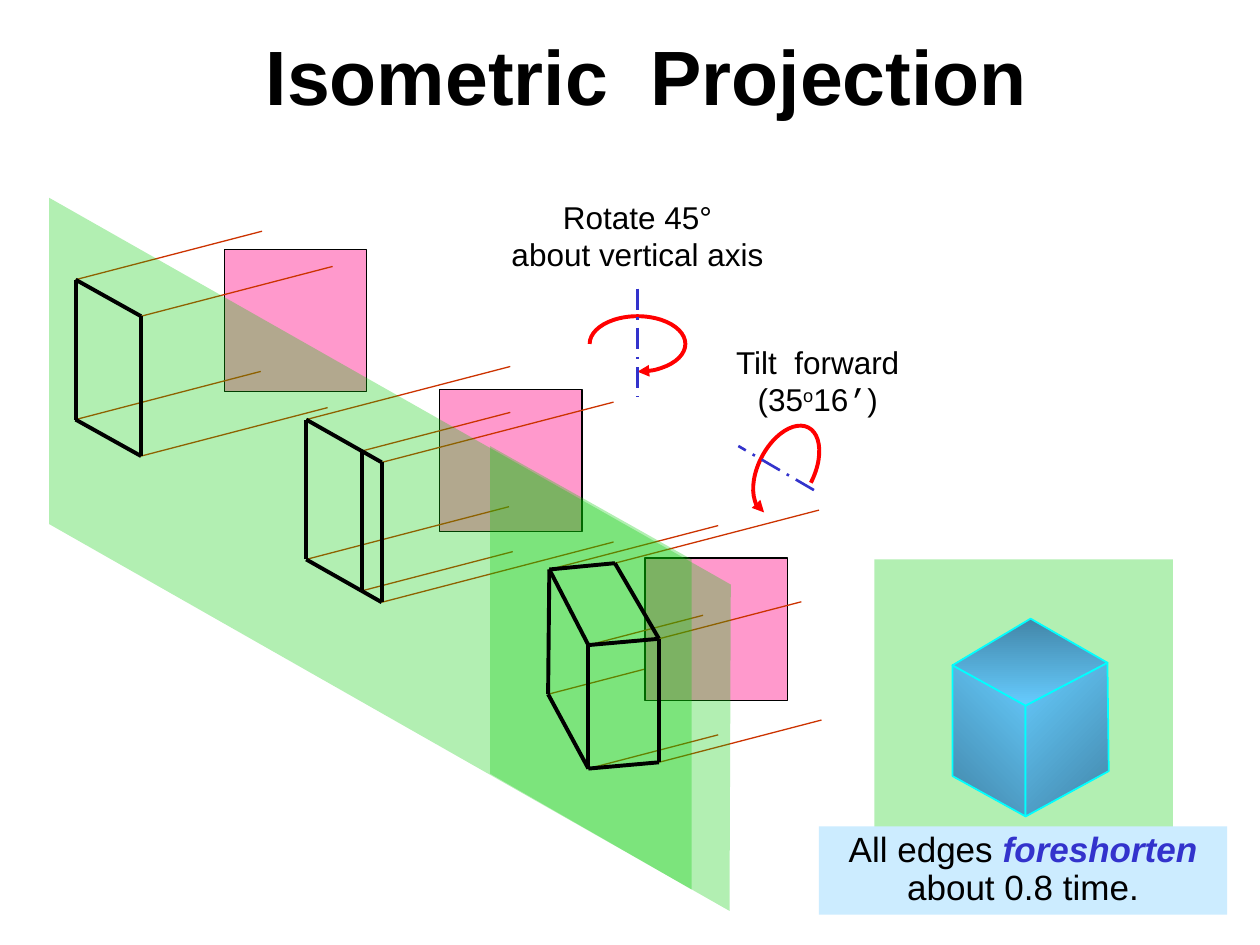
import itertools
from dataclasses import dataclass

import pptx
import pptx.dml.color
import pptx.enum.dml
import pptx.enum.shapes
import pptx.enum.text
import pptx.oxml.ns
import pptx.util
from lxml import etree


@dataclass(frozen=True)
class Theme:
    font: str = "Arial"
    prime_font: str = "Courier New"
    ink: str = "000000"
    accent: str = "3333CC"
    ray: str = "CC3300"
    turn: str = "FF0000"
    object_face: str = "FF99CC"
    plane: str = "00CC00"
    plane_opacity: int = 30
    caption: str = "CCECFF"
    cube_edge: str = "00FFFF"
    cube_light: str = "66CCFF"
    cube_dark: str = "4285A7"
    title_size: int = 44
    label_size: int = 18
    caption_size: int = 20
    thin: float = 0.75
    cube_line: float = 1
    axis_line: float = 1.5
    thick: float = 2.25


def rgb(color):
    return pptx.dml.color.RGBColor.from_string(color)


def add_node(parent, tag, **attributes):
    return etree.SubElement(parent, pptx.oxml.ns.qn(tag), **attributes)


class Sketch:
    COLUMNS = 100
    ROWS = 75
    RAY_SLOPE = 0.26

    def __init__(self, deck, theme):
        self.theme = theme
        self.page = deck.slides.add_slide(deck.slide_layouts[6])
        self.column = deck.slide_width / self.COLUMNS
        self.row = deck.slide_height / self.ROWS

    def spot(self, column, row):
        return round(column * self.column), round(row * self.row)

    def frame(self, left, top, width, height):
        return *self.spot(left, top), *self.spot(width, height)

    def stroke(self, shape, color, weight):
        shape.line.color.rgb = rgb(color)
        shape.line.width = pptx.util.Pt(weight)

    def paint(self, shape, color, opacity=100):
        shape.shadow.inherit = False
        shape.fill.solid()
        shape.fill.fore_color.rgb = rgb(color)
        shape.line.fill.background()
        if opacity < 100:
            tint = shape._element.spPr.find(".//" + pptx.oxml.ns.qn("a:srgbClr"))
            add_node(tint, "a:alpha", val=str(opacity * 1000))

    def line(self, start, end, color, weight):
        straight = pptx.enum.shapes.MSO_CONNECTOR.STRAIGHT
        line = self.page.shapes.add_connector(straight, *self.spot(*start), *self.spot(*end))
        self.stroke(line, color, weight)
        add_node(line._element.spPr, "a:effectLst")
        return line

    def ray(self, corner, reach):
        column, row = corner
        end = (column + reach, row - reach * self.RAY_SLOPE)
        self.line(corner, end, self.theme.ray, self.theme.thin)

    def edges(self, *corners):
        for start, end in itertools.pairwise(corners):
            self.line(start, end, self.theme.ink, self.theme.thick)

    def axis(self, start, end):
        line = self.line(start, end, self.theme.accent, self.theme.axis_line)
        line.line.dash_style = pptx.enum.dml.MSO_LINE.LONG_DASH_DOT

    def rectangle(self, area, color, opacity=100):
        shape = self.page.shapes.add_shape(
            pptx.enum.shapes.MSO_SHAPE.RECTANGLE, *self.frame(*area))
        self.paint(shape, color, opacity)
        return shape

    def object_square(self, left, top, side=11.3):
        square = self.rectangle((left, top, side, side), self.theme.object_face)
        self.stroke(square, self.theme.ink, self.theme.thin)

    def polygon(self, *corners):
        first, *others = [self.spot(*corner) for corner in corners]
        builder = self.page.shapes.build_freeform(*first, scale=1.0)
        builder.add_line_segments(others, close=True)
        return builder.convert_to_shape()

    def plane(self, *corners):
        self.paint(self.polygon(*corners), self.theme.plane, self.theme.plane_opacity)

    def cube_face(self, colors, angle, *corners):
        face = self.polygon(*corners)
        face.shadow.inherit = False
        face.fill.gradient()
        face.fill.gradient_angle = angle
        for stop, color in zip(face.fill.gradient_stops, colors):
            stop.color.rgb = rgb(color)
        self.stroke(face, self.theme.cube_edge, self.theme.cube_line)

    def turn_arrow(self, left, top, rotation, arrow_end):
        arc = self.page.shapes.add_shape(
            pptx.enum.shapes.MSO_SHAPE.ARC, *self.frame(left, top, 7.6, 4.4))
        arc.shadow.inherit = False
        arc.adjustments[0], arc.adjustments[1] = 180 * 0.6, 90 * 0.6
        arc.rotation = rotation
        arc.fill.background()
        self.stroke(arc, self.theme.turn, self.theme.thick)
        outline = arc._element.spPr.find(pptx.oxml.ns.qn("a:ln"))
        add_node(outline, arrow_end, type="triangle")

    def fill_text(self, box, paragraphs, size, bold=None, spacing=None, wrap=True):
        frame = box.text_frame
        frame.word_wrap = wrap
        frame.vertical_anchor = pptx.enum.text.MSO_ANCHOR.TOP
        for index, spans in enumerate(paragraphs):
            para = frame.add_paragraph() if index else frame.paragraphs[0]
            para.alignment = pptx.enum.text.PP_ALIGN.CENTER
            para.line_spacing = spacing
            para.font.name = self.theme.font
            para.font.size = pptx.util.Pt(size)
            para.font.bold = bold
            para.font.color.rgb = rgb(self.theme.ink)
            for words, role in spans:
                span = para.add_run()
                span.text = words
                if role == "raised":
                    span.font._element.set("baseline", "30000")
                elif role == "prime":
                    span.font.name = self.theme.prime_font
                elif role == "key":
                    span.font.bold = span.font.italic = True
                    span.font.color.rgb = rgb(self.theme.accent)

    def label(self, area, paragraphs, size, **style):
        box = self.page.shapes.add_textbox(*self.frame(*area))
        self.fill_text(box, paragraphs, size, **style)


def main():
    deck = pptx.Presentation()
    deck.slide_width = pptx.util.Inches(10)
    deck.slide_height = pptx.util.Inches(7.5)
    theme = Theme()
    sketch = Sketch(deck, theme)

    flat = [(6, 22.2), (11.2, 25.1), (11.2, 36.2), (6, 33.3)]
    turned = [(24.3, 33.3), (30.3, 36.7), (30.3, 47.8), (24.3, 44.4)]
    ridge = [(28.7, 35.8), (28.7, 46.9)]
    back_left, back_right = (43.6, 45.2), (48.8, 44.7)
    front_right, front_left = (52.3, 50.7), (46.7, 51.2)
    low_right, low_left, low_back = (52.3, 60.5), (46.7, 61), (43.5, 55.1)

    sketch.ray(low_back, 14.7)
    views = [
        ((17.8, 19.8), flat, (14.8, 15.2, 14.8, 14.7)),
        ((34.9, 30.9), turned + ridge, (16.2, 18.4, 18.4, 16.1, 11.8, 12)),
        ((51.2, 44.3),
         (back_right, back_left, front_right, front_left, low_right, low_left),
         (16.2, 13.4, 11.3, 9.1, 12.9, 10.3)),
    ]
    for square, corners, reaches in views:
        sketch.object_square(*square)
        for corner, reach in zip(corners, reaches):
            sketch.ray(corner, reach)

    sketch.plane((3.9, 15.7), (58, 46.4), (57.9, 72.3), (3.9, 41.6))
    for outline in (flat, turned):
        sketch.edges(*outline, outline[0])
    sketch.edges(*ridge)

    sketch.turn_arrow(46.8, 25.1, 0, "a:tailEnd")
    sketch.turn_arrow(58.6, 35.1, 297.5, "a:headEnd")
    sketch.axis((64.6, 38.9), (58.6, 35.4))
    sketch.axis((50.6, 22.9), (50.6, 31.5))

    sketch.label((39.4, 15.2, 22.4, 7),
                 [[("Rotate 45°", "")], [("about vertical axis", "")]], theme.label_size)
    sketch.label((57, 26.7, 15.8, 7),
                 [[("Tilt  forward (35", ""), ("o", "raised"), ("16", ""),
                   ("’", "prime"), (")", "")]], theme.label_size)
    sketch.label((20.1, 1.8, 62.5, 8.4), [[("Isometric  Projection", "")]],
                 theme.title_size, bold=True, wrap=False)

    sketch.plane((38.9, 35.4), (38.9, 61.4), (54.9, 70.6), (54.9, 44.4))
    sketch.edges(low_right, front_right, front_left, back_left, back_right, front_right)
    sketch.edges(front_left, low_left, low_back, back_left)
    sketch.edges(low_left, low_right)

    sketch.rectangle((69.4, 44.4, 23.7, 25.6), theme.plane, theme.plane_opacity)
    center, left, right = (81.4, 56), (75.6, 52.8), (87.9, 52.6)
    bottom = (81.4, 64.8)
    lit = (theme.cube_light, theme.cube_dark)
    shaded = lit[::-1]
    sketch.cube_face(lit, 225, left, (75.6, 61.6), bottom, center)
    sketch.cube_face(shaded, 135, (88, 61.2), bottom, center, right)
    sketch.cube_face(shaded, 270, center, left, (81.8, 49.1), right)

    caption = sketch.rectangle((65, 65.6, 32.4, 7), theme.caption)
    sketch.fill_text(caption, [[("All edges ", ""), ("foreshorten", "key")],
                               [("about 0.8 time.", "")]], theme.caption_size, spacing=0.9)
    deck.save("out.pptx")


if __name__ == "__main__":
    main()
